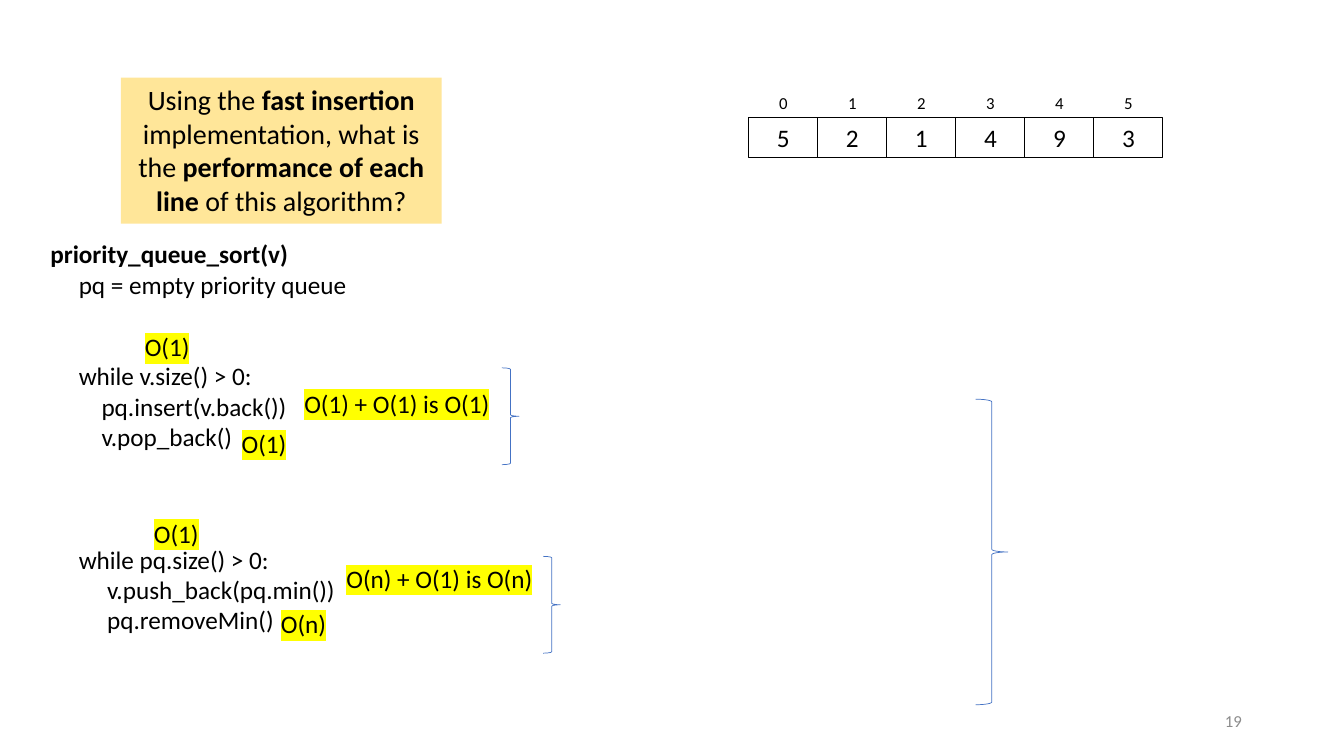
"""Build the slide on the line-by-line cost of a priority queue sort."""
from dataclasses import dataclass

from lxml import etree
from pptx import Presentation
from pptx.dml.color import RGBColor
from pptx.enum.shapes import MSO_SHAPE
from pptx.enum.text import MSO_ANCHOR, MSO_AUTO_SIZE, PP_ALIGN
from pptx.oxml.ns import qn
from pptx.util import Cm, Pt

RECTANGLE, BRACE = MSO_SHAPE.RECTANGLE, MSO_SHAPE.RIGHT_BRACE
TOP, MIDDLE = MSO_ANCHOR.TOP, MSO_ANCHOR.MIDDLE
LEFT, CENTER, RIGHT = PP_ALIGN.LEFT, PP_ALIGN.CENTER, PP_ALIGN.RIGHT
FIT_SHAPE = MSO_AUTO_SIZE.SHAPE_TO_FIT_TEXT

FONT = "Calibri"
COLORS = {
    "text": "000000",
    "page_number": "8C8C8C",
    "prompt": "FFE699",
    "highlight": "FFFF00",
    "brace": "4472C4",
}
BLANK_LAYOUT = 6
LINE_HEIGHT = 22


@dataclass(frozen=True)
class Area:
    """Hold a position and a size in centimetres."""
    left: float
    top: float
    width: float
    height: float

    def lengths(self) -> tuple:
        """Return the four values as lengths."""
        return Cm(self.left), Cm(self.top), Cm(self.width), Cm(self.height)


@dataclass(frozen=True)
class Span:
    """Describe one run of text."""
    text: str
    size: float = 18
    bold: bool = False
    color: str = "text"
    highlight: bool = False


@dataclass(frozen=True)
class CodeLine:
    """Describe a line of code and the empty lines above it."""
    text: str
    lines_above: int = 0
    bold: bool = False


@dataclass(frozen=True)
class Cost:
    """Describe a highlighted running time."""
    text: str
    left: float
    top: float
    width: float = 1.65


VALUES = ["5", "2", "1", "4", "9", "3"]
CELL_LEFT, CELL_WIDTH = 18.87, 1.74
PROMPT = [
    Span("Using the ", 20),
    Span("fast insertion ", 20, True),
    Span("implementation, what is the ", 20),
    Span("performance of each line", 20, True),
    Span(" of this algorithm?", 20),
]
CODE = [
    CodeLine("priority_queue_sort(v)", bold=True),
    CodeLine("     pq = empty priority queue"),
    CodeLine("     while v.size() > 0:", 2),
    CodeLine("         pq.insert(v.back())"),
    CodeLine("         v.pop_back()"),
    CodeLine("     while pq.size() > 0:", 3),
    CodeLine("          v.push_back(pq.min())"),
    CodeLine("          pq.removeMin()"),
]
COSTS = [
    Cost("O(1)", 3.4, 8.23),
    Cost("O(1)", 3.63, 12.93),
    Cost("O(1)", 5.84, 10.67),
    Cost("O(1) + O(1) is O(1)", 7.42, 9.65, 5.23),
    Cost("O(n) + O(1) is O(n)", 8.48, 14.07, 5.23),
    Cost("O(n)", 6.83, 15.21),
]
BRACES = [
    Area(12.65, 9.27, 0.43, 2.44),
    Area(13.69, 14.02, 0.43, 2.44),
    Area(24.59, 10.06, 0.81, 7.7),
]


def rgb(name: str) -> RGBColor:
    """Look up a named colour."""
    return RGBColor.from_string(COLORS[name])


def add_span(para, span: Span) -> None:
    """Add one formatted run to a paragraph."""
    run = para.add_run()
    run.text = span.text
    font = run.font
    font.size, font.bold = Pt(span.size), span.bold
    font.color.rgb = rgb(span.color)
    if span.highlight:
        mark = etree.SubElement(run._r.get_or_add_rPr(), qn("a:highlight"))
        etree.SubElement(mark, qn("a:srgbClr"), val=COLORS["highlight"])
    font.name = FONT


def write(shape, spans: list[Span], align=CENTER, anchor=TOP, wrap: bool = True) -> None:
    """Fill a shape with a single paragraph."""
    frame = shape.text_frame
    frame.word_wrap, frame.vertical_anchor = wrap, anchor
    if not wrap:
        frame.auto_size = FIT_SHAPE
    para = frame.paragraphs[0]
    para.alignment = align
    for span in spans:
        add_span(para, span)


def add_box(page, area: Area, kind=RECTANGLE, fill: str = "", line: str = "", weight: float = 0.75):
    """Add a preset shape with an optional fill and outline."""
    box = page.shapes.add_shape(kind, *area.lengths())
    box.shadow.inherit = False
    if fill:
        box.fill.solid()
        box.fill.fore_color.rgb = rgb(fill)
    else:
        box.fill.background()
    if line:
        box.line.color.rgb = rgb(line)
        box.line.width = Pt(weight)
    else:
        box.line.fill.background()
    return box


def add_text(page, area: Area, span: Span, align=CENTER, anchor=TOP, wrap: bool = True) -> None:
    """Add a text box that holds one run."""
    write(page.shapes.add_textbox(*area.lengths()), [span], align, anchor, wrap)


def add_array(page) -> None:
    """Draw the vector cells with their indices above."""
    for index, value in enumerate(VALUES):
        left = CELL_LEFT + index * CELL_WIDTH
        cell = add_box(page, Area(left, 2.96, CELL_WIDTH, 1.02), line="text")
        write(cell, [Span(value)])
        add_text(page, Area(left, 2.21, CELL_WIDTH, 0.76), Span(str(index), 12))


def add_code(page) -> None:
    """Write the algorithm, one paragraph for each line."""
    frame = page.shapes.add_textbox(*Area(1.02, 5.89, 8.51, 11.02).lengths()).text_frame
    frame.word_wrap = True
    for number, line in enumerate(CODE):
        para = frame.add_paragraph() if number else frame.paragraphs[0]
        if line.lines_above:
            para.space_before = Pt(line.lines_above * LINE_HEIGHT)
        add_span(para, Span(line.text, bold=line.bold))


def main() -> None:
    """Build and save the deck."""
    deck = Presentation()
    deck.slide_width, deck.slide_height = Cm(33.87), Cm(19.05)
    page = deck.slides.add_slide(deck.slide_layouts[BLANK_LAYOUT])
    add_text(page, Area(23.93, 17.65, 7.62, 1.02), Span("19", 12, color="page_number"), RIGHT, MIDDLE)
    add_array(page)
    add_code(page)
    write(add_box(page, Area(3.05, 1.96, 8.08, 3.68), fill="prompt"), PROMPT)
    for cost in COSTS:
        area = Area(cost.left, cost.top, cost.width, 1.02)
        add_text(page, area, Span(cost.text, highlight=True), LEFT, wrap=False)
    for area in BRACES:
        add_box(page, area, BRACE, line="brace", weight=0.5)
    deck.save("out.pptx")


if __name__ == "__main__":
    main()
